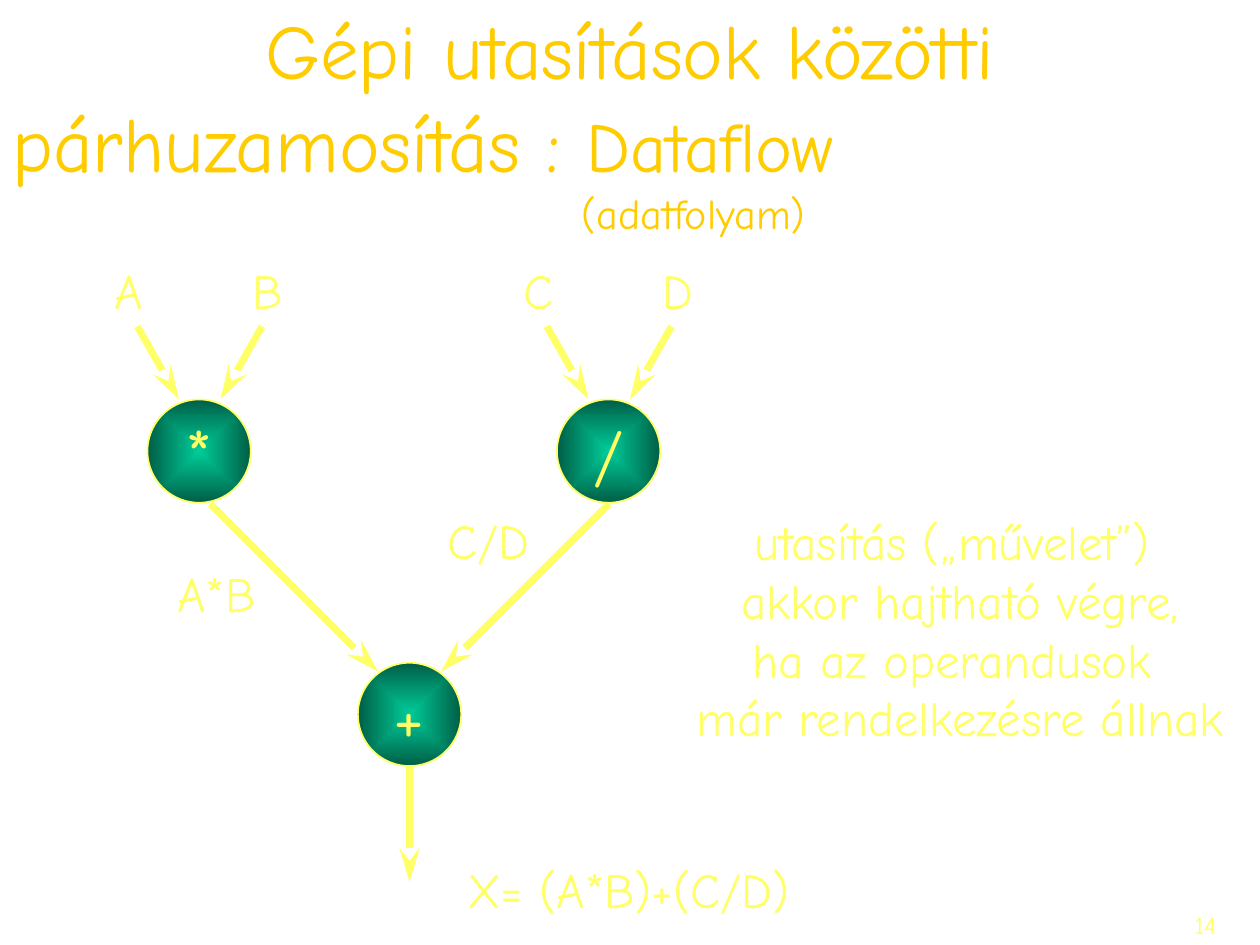
import pptx
import pptx.util
import pptx.dml.color
import pptx.enum.shapes
import pptx.enum.text
import pptx.oxml
import pptx.oxml.ns
import lxml.etree

Inches = pptx.util.Inches
Pt = pptx.util.Pt
RGBColor = pptx.dml.color.RGBColor
Align = pptx.enum.text.PP_ALIGN
Anchor = pptx.enum.text.MSO_ANCHOR
qn = pptx.oxml.ns.qn

GOLD = RGBColor(0xFF, 0xCC, 0x00)
YELLOW = RGBColor(0xFF, 0xFF, 0x66)
GREEN = RGBColor(0x00, 0xCC, 0x99)
DARK_GREEN = RGBColor(0x00, 0x5E, 0x46)
FONT = "Comic Neue"
NODE_SIZE = 0.82


def style_font(font, size, color):
    """Apply the slide's typeface with a size and colour."""
    font.name = FONT
    font.size = Pt(size)
    font.color.rgb = color


def add_text(page, left, top, width, height, lines, size=28, align=Align.LEFT, wrap=False, tab=None):
    """Add a yellow text box with one paragraph per line."""
    box = page.shapes.add_textbox(Inches(left), Inches(top), Inches(width), Inches(height))
    frame = box.text_frame
    frame.word_wrap = wrap
    for index, line in enumerate(lines):
        para = frame.paragraphs[0] if index == 0 else frame.add_paragraph()
        para.text = line
        para.alignment = align
        if tab is not None:
            stops = lxml.etree.SubElement(para._p.get_or_add_pPr(), qn("a:tabLst"))
            lxml.etree.SubElement(stops, qn("a:tab"), pos=str(Inches(tab)), algn="l")
        style_font(para.font, size, YELLOW)


def add_title(page, left, top, width, height):
    """Add the three-line heading, centred vertically in its box."""
    box = page.shapes.add_textbox(Inches(left), Inches(top), Inches(width), Inches(height))
    frame = box.text_frame
    frame.word_wrap = True
    frame.vertical_anchor = Anchor.MIDDLE
    lines = [
        (Align.CENTER, 0, [("Gépi utasítások közötti", 44)]),
        (Align.LEFT, 0, [("párhuzamosítás : ", 44), ("Dataflow", 40)]),
        (Align.LEFT, 4.52, [("(adatfolyam)", 24)]),
    ]
    for index, (align, indent, spans) in enumerate(lines):
        para = frame.paragraphs[0] if index == 0 else frame.add_paragraph()
        para.alignment = align
        if indent:
            para._p.get_or_add_pPr().set("marL", str(Inches(indent)))
        for text, size in spans:
            span = para.add_run()
            span.text = text
            style_font(span.font, size, GOLD)


def add_arrow(page, start, end):
    """Draw a thick arrow between two points."""
    arrow = page.shapes.add_connector(
        pptx.enum.shapes.MSO_CONNECTOR.STRAIGHT, *(Inches(value) for value in start + end))
    arrow.line.color.rgb = YELLOW
    arrow.line.width = Pt(4)
    lxml.etree.SubElement(
        arrow.line._get_or_add_ln(), qn("a:tailEnd"), type="stealth", w="med", len="lg")
    lxml.etree.SubElement(arrow._element.spPr, qn("a:effectLst"))


def add_node(page, left, top, symbol):
    """Draw a round operator node with a glowing centre."""
    node = page.shapes.add_shape(
        pptx.enum.shapes.MSO_SHAPE.OVAL,
        Inches(left), Inches(top), Inches(NODE_SIZE), Inches(NODE_SIZE))
    node.shadow.inherit = False
    node.line.color.rgb = YELLOW
    node.line.width = Pt(1)
    node.fill.gradient()
    for stop, color in zip(node.fill.gradient_stops, (GREEN, DARK_GREEN)):
        stop.color.rgb = color
    gradient = node._element.spPr.find(qn("a:gradFill"))
    gradient.remove(gradient.find(qn("a:lin")))
    center = lxml.etree.SubElement(gradient, qn("a:path"))
    center.set("path", "rect")
    lxml.etree.SubElement(center, qn("a:fillToRect"), l="50000", t="50000", r="50000", b="50000")
    frame = node.text_frame
    frame.word_wrap = False
    frame.vertical_anchor = Anchor.MIDDLE
    para = frame.paragraphs[0]
    para.text = symbol
    para.alignment = Align.CENTER
    style_font(para.font, 40, YELLOW)


def add_operation(page, left, top, symbol, operands):
    """Place a node with its two operands above it."""
    add_node(page, left, top, symbol)
    for start, end in ((-0.08, 0.25), (0.91, 0.58)):
        add_arrow(page, (left + start, top - 0.58), (left + end, top))
    add_text(page, left - 0.36, top - 1.15, 1.8, 0.57, ["\t".join(operands)], wrap=True, tab=1.1)


def add_dataflow(page, left, top):
    """Draw the graph from the operands down to the result."""
    add_operation(page, left, top, "*", "AB")
    add_operation(page, left + 3.25, top, "/", "CD")
    add_node(page, left + 1.67, top + 2.09, "+")
    add_arrow(page, (left + 0.5, top + 0.83), (left + 1.83, top + 2.16))
    add_arrow(page, (left + 3.66, top + 0.83), (left + 2.33, top + 2.16))
    add_arrow(page, (left + 2.08, top + 2.92), (left + 2.08, top + 3.83))
    add_text(page, left + 0.14, top + 1.25, 0.82, 0.57, ["A*B"])
    add_text(page, left + 2.28, top + 0.83, 0.85, 0.57, ["C/D"])
    add_text(page, left + 2.44, top + 3.6, 2.76, 0.57, ["X= (A*B)+(C/D)"])


def main():
    """Build and save the slide."""
    deck = pptx.Presentation()
    deck.slide_width = Inches(10)
    deck.slide_height = Inches(7.5)
    page = deck.slides.add_slide(deck.slide_layouts[6])
    add_title(page, 0, 0.33, 10, 1.25)
    add_dataflow(page, 1.17, 3.17)
    rule = ["utasítás („művelet”) ", "akkor hajtható végre,",
            "ha az operandusok ", "már rendelkezésre állnak"]
    add_text(page, 5.41, 4.01, 4.42, 1.97, rule, align=Align.CENTER)
    add_text(page, 7.67, 7.17, 2.08, 0.33, ["14"], size=14, align=Align.RIGHT, wrap=True)
    deck.save("out.pptx")


if __name__ == "__main__":
    main()
